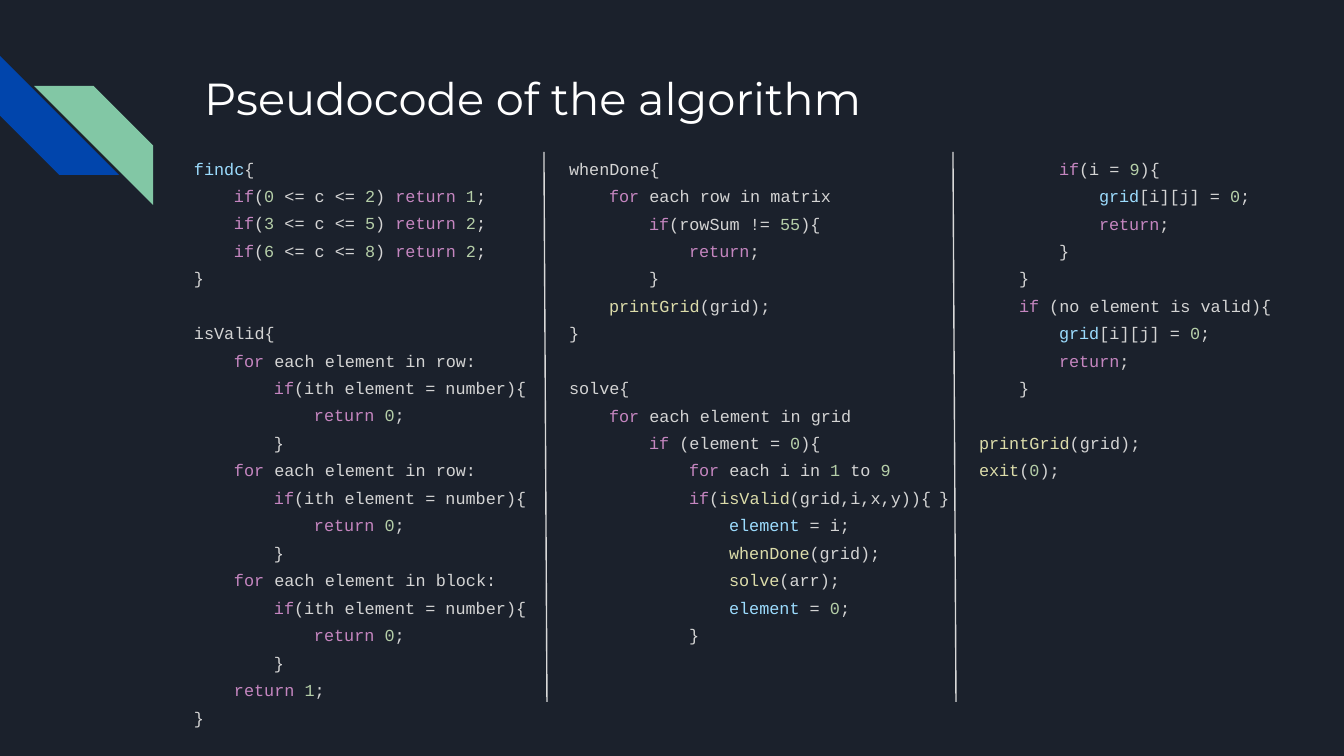
"""Build the slide that shows the pseudocode of the algorithm in three columns."""
import itertools
from dataclasses import dataclass
from typing import Any, Iterator, NamedTuple

import lxml.etree
import pptx
import pptx.dml.color
import pptx.enum.shapes
import pptx.enum.text
import pptx.oxml.ns
import pptx.util

WIDE, HIGH = 1344, 756
SCALE = 9144000 / WIDE


@dataclass(frozen=True)
class Theme:
    back: str = "1B212C"
    blue: str = "0145AC"
    green: str = "82C7A5"
    white: str = "FFFFFF"
    rule: str = "D9D9D9"
    plain: str = "D4D4D4"
    key: str = "C586C0"
    number: str = "B5CEA8"
    call: str = "DCDCAA"
    name: str = "9CDCFE"
    head: str = "Montserrat"
    mono: str = "Courier New"
    large: int = 24
    small: int = 9
    thin: float = 0.75
    lead: float = 1.36
    gap: float = 14.6
    step: int = 40
    inset: int = 13


class Box(NamedTuple):
    left: int
    top: int
    width: int
    height: int


class Stripe(NamedTuple):
    box: Box
    turn: int
    fill: str


class Column(NamedTuple):
    box: Box
    code: str


THEME = Theme()
KEYS = {"if", "for", "return"}
NAMES = {"findc", "element", "grid"}

CHECK = """    for each element in {}:
        if(ith element = number){{
            return 0;
        }}
"""

FIND = """findc{
    if(0 <= c <= 2) return 1;
    if(3 <= c <= 5) return 2;
    if(6 <= c <= 8) return 2;
}

isValid{
""" + "".join(CHECK.format(part) for part in ("row", "row", "block")) + """    return 1;
}"""

SOLVE = """whenDone{
    for each row in matrix
        if(rowSum != 55){
            return;
        }
    printGrid(grid);
}

solve{
    for each element in grid
        if (element = 0){
            for each i in 1 to 9
            if(isValid(grid,i,x,y)){
                element = i;
                whenDone(grid);
                solve(arr);
                element = 0;
            }"""

REST = """            if(i = 9){
                grid[i][j] = 0;
                return;
            }
        }
        if (no element is valid){
            grid[i][j] = 0;
            return;
        }

    printGrid(grid);
    exit(0);
}"""

STRIPES = (
    Stripe(Box(0, 56, 119, 119), 270, THEME.blue),
    Stripe(Box(34, 86, 119, 119), 90, THEME.green),
)
TITLE = Box(191, 58, 1035, 134)
COLUMNS = (
    Column(Box(181, 138, 481, 559), FIND),
    Column(Box(556, 138, 457, 544), SOLVE),
    Column(Box(926, 138, 391, 379), REST),
)
RULES = (Box(544, 152, 3, 550), Box(953, 152, 3, 550))


def emu(px: int) -> int:
    """Turn px into EMU."""
    return round(px * SCALE)


def tint(code: str) -> pptx.dml.color.RGBColor:
    """Turn a hex code into a colour."""
    return pptx.dml.color.RGBColor.from_string(code)


def write(para: Any, text: str, *, font: str, size: int, color: str) -> None:
    """Add one formatted run to a paragraph."""
    run = para.add_run()
    run.text = text
    run.font.name = font
    run.font.size = pptx.util.Pt(size)
    run.font.color.rgb = tint(color)


def shade(line: str) -> Iterator[tuple[str, str]]:
    """Split a line of code into words, each with its colour."""
    words = ["".join(part) for _, part in itertools.groupby(line, str.isalnum)]
    for spot, (word, after) in enumerate(itertools.zip_longest(words, words[1:], fillvalue="")):
        if word in KEYS:
            color = THEME.key
        elif word.isdigit():
            color = THEME.number
        elif word.isalnum() and after.startswith("("):
            color = THEME.call
        elif spot == 0 and word in NAMES and after != "":
            color = THEME.name
        else:
            color = THEME.plain
        yield word, color


def setup(frame: Any) -> None:
    """Give a text frame its insets, wrapping and anchor."""
    frame.word_wrap = True
    frame.auto_size = pptx.enum.text.MSO_AUTO_SIZE.NONE
    frame.vertical_anchor = pptx.enum.text.MSO_ANCHOR.TOP
    frame.margin_left = frame.margin_right = emu(THEME.inset)
    frame.margin_top = frame.margin_bottom = emu(THEME.inset)


def title(slide: Any, box: Box, text: str) -> None:
    """Place and fill the title."""
    shape = slide.shapes.title
    shape.left, shape.top, shape.width, shape.height = map(emu, box)
    setup(shape.text_frame)
    para = shape.text_frame.paragraphs[0]
    para.alignment = pptx.enum.text.PP_ALIGN.LEFT
    write(para, text, font=THEME.head, size=THEME.large, color=THEME.white)


def column(slide: Any, item: Column) -> None:
    """Draw one column of code, with indents for depth."""
    frame = slide.shapes.add_textbox(*map(emu, item.box)).text_frame
    setup(frame)
    para = None
    for block in item.code.split("\n\n"):
        for row, line in enumerate(block.splitlines()):
            first = para is None
            para = frame.paragraphs[0] if first else frame.add_paragraph()
            para.line_spacing = THEME.lead
            para.space_before = pptx.util.Pt(0 if first or row else THEME.gap)
            text = line.lstrip()
            depth = (len(line) - len(text)) // 4
            props = para._p.get_or_add_pPr()
            props.set("marL", str(emu(depth * THEME.step)))
            props.set("indent", "0")
            for word, color in shade(text):
                write(para, word, font=THEME.mono, size=THEME.small, color=color)


def stripe(slide: Any, item: Stripe) -> None:
    """Draw one diagonal stripe."""
    kind = pptx.enum.shapes.MSO_SHAPE.DIAGONAL_STRIPE
    shape = slide.shapes.add_shape(kind, *map(emu, item.box))
    shape.rotation = item.turn
    shape.shadow.inherit = False
    shape.fill.solid()
    shape.fill.fore_color.rgb = tint(item.fill)
    shape.line.fill.background()


def rule(slide: Any, box: Box) -> None:
    """Draw one line between columns."""
    ends = (box.left, box.top, box.left + box.width, box.top + box.height)
    kind = pptx.enum.shapes.MSO_CONNECTOR.STRAIGHT
    line = slide.shapes.add_connector(kind, *map(emu, ends))
    line.line.color.rgb = tint(THEME.rule)
    line.line.width = pptx.util.Pt(THEME.thin)
    lxml.etree.SubElement(line._element.spPr, pptx.oxml.ns.qn("a:effectLst"))


def main() -> None:
    """Build and save the deck."""
    deck = pptx.Presentation()
    deck.slide_width, deck.slide_height = emu(WIDE), emu(HIGH)
    slide = deck.slides.add_slide(deck.slide_layouts[5])
    slide.background.fill.solid()
    slide.background.fill.fore_color.rgb = tint(THEME.back)
    for item in STRIPES:
        stripe(slide, item)
    title(slide, TITLE, "Pseudocode of the algorithm")
    for item in COLUMNS:
        column(slide, item)
    for box in RULES:
        rule(slide, box)
    deck.save("out.pptx")


if __name__ == "__main__":
    main()
